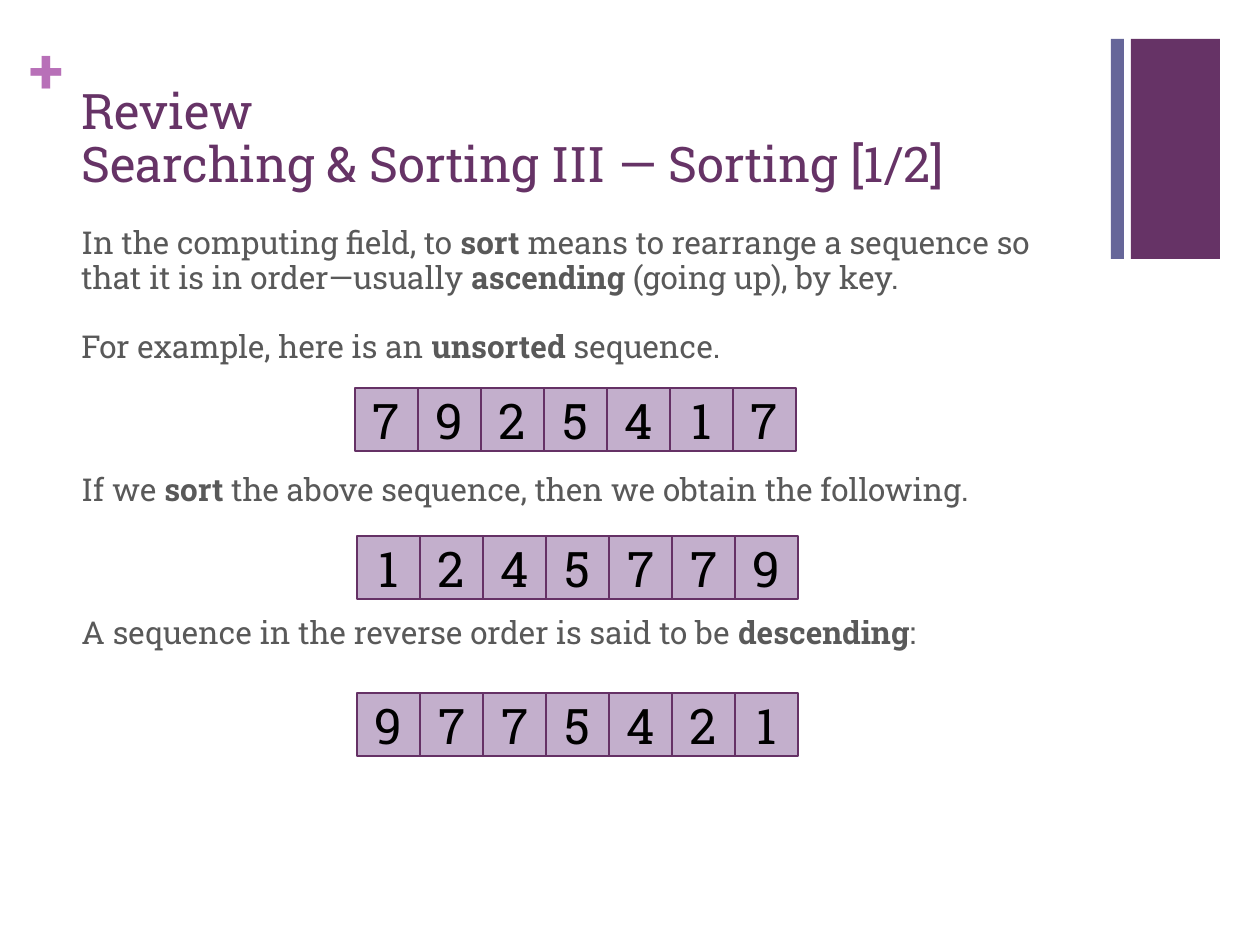
from pptx import Presentation
from pptx.dml.color import RGBColor
from pptx.enum.shapes import MSO_SHAPE
from pptx.enum.text import MSO_ANCHOR, PP_ALIGN
from pptx.util import Emu, Pt

RECTANGLE = MSO_SHAPE.RECTANGLE
TOP = MSO_ANCHOR.TOP
MIDDLE = MSO_ANCHOR.MIDDLE
BOTTOM = MSO_ANCHOR.BOTTOM
CENTER = PP_ALIGN.CENTER

EMU_PER_PX = 914400 / 126
FONT = "Roboto Slab"
PURPLE = "663366"
CELL_SIZE = 63

BODY = [
    ("In the computing field, to *sort* means to rearrange a sequence so "
     "that it is in order—usually *ascending* (going up), by key.", 20),
    ("For example, here is an *unsorted* sequence.", 20),
    ("If we *sort* the above sequence, then we obtain the following.", 62),
    ("A sequence in the reverse order is said to be *descending*:", 62),
]
SEQUENCES = [
    (355, 388, "7925417"),
    (357, 536, "1245779"),
    (357, 693, "9775421"),
]


def px(value):
    return Emu(round(value * EMU_PER_PX))


def color(value):
    return RGBColor.from_string(value)


def style_font(paragraph, size, text_color):
    font = paragraph.font
    font.name = FONT
    font.size = Pt(size)
    font.color.rgb = color(text_color)


def add_rectangle(slide, left, top, width, height, fill, line=None):
    shape = slide.shapes.add_shape(RECTANGLE, px(left), px(top), px(width), px(height))
    shape.shadow.inherit = False
    shape.fill.solid()
    shape.fill.fore_color.rgb = color(fill)
    if line:
        shape.line.color.rgb = color(line)
        shape.line.width = Pt(1)
    else:
        shape.line.fill.background()
    return shape


def add_text_frame(slide, left, top, width, height, anchor=TOP):
    box = slide.shapes.add_textbox(px(left), px(top), px(width), px(height))
    frame = box.text_frame
    frame.word_wrap = True
    frame.vertical_anchor = anchor
    return frame


def add_plus(slide):
    frame = add_text_frame(slide, 30, 31, 37, 77)
    frame.margin_left = frame.margin_right = 0
    frame.margin_top = frame.margin_bottom = 0
    paragraph = frame.paragraphs[0]
    paragraph.text = "+"
    style_font(paragraph, 36, "B870B8")
    paragraph.font.bold = True


def add_title(slide, text):
    frame = add_text_frame(slide, 69, 67, 1041, 132, BOTTOM)
    paragraph = frame.paragraphs[0]
    paragraph.text = text
    paragraph.line_spacing = 0.9
    style_font(paragraph, 28, PURPLE)


def add_body(slide, entries):
    frame = add_text_frame(slide, 69, 221, 1041, 651)
    for index, (text, space_before) in enumerate(entries):
        paragraph = frame.add_paragraph() if index else frame.paragraphs[0]
        paragraph.space_before = Pt(space_before)
        paragraph.line_spacing = 0.91
        style_font(paragraph, 18, "595959")
        for position, part in enumerate(text.split("*")):
            run = paragraph.add_run()
            run.text = part
            run.font.bold = position % 2 == 1


def add_sequence(slide, left, top, digits):
    for index, digit in enumerate(digits):
        cell = add_rectangle(slide, left + index * CELL_SIZE, top,
                             CELL_SIZE, CELL_SIZE, "C3AFCC", "653165")
        cell.text_frame.vertical_anchor = MIDDLE
        paragraph = cell.text_frame.paragraphs[0]
        paragraph.text = digit
        paragraph.alignment = CENTER
        style_font(paragraph, 28, "000000")


def main():
    presentation = Presentation()
    presentation.slide_width = px(1260)
    presentation.slide_height = px(945)
    slide = presentation.slides.add_slide(presentation.slide_layouts[6])

    add_rectangle(slide, 1131, 39, 89, 220, PURPLE)
    add_plus(slide)
    add_rectangle(slide, 1111, 39, 13, 220, "666699")
    add_title(slide, "Review\nSearching & Sorting III — Sorting [1/2]")
    add_body(slide, BODY)
    for left, top, digits in SEQUENCES:
        add_sequence(slide, left, top, digits)

    presentation.save("out.pptx")


if __name__ == "__main__":
    main()
